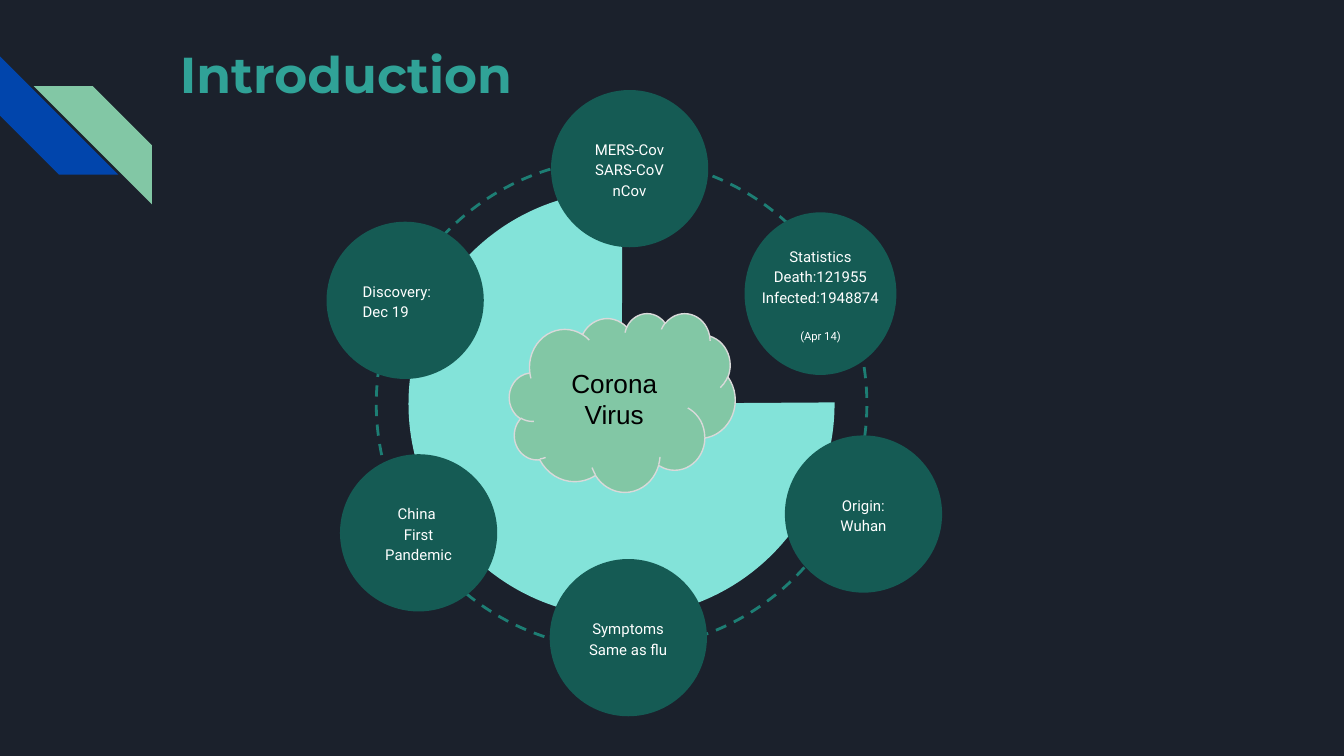
from dataclasses import dataclass

from lxml.etree import _Element as Element
from pptx import Presentation
from pptx.dml.color import RGBColor
from pptx.enum.dml import MSO_LINE_DASH_STYLE as Dash
from pptx.enum.shapes import MSO_SHAPE as Preset
from pptx.enum.text import MSO_ANCHOR as Anchor, PP_ALIGN as Align
from pptx.shapes.autoshape import Shape
from pptx.util import Inches, Pt

NAVY, BLUE, MINT = "1B212C", "0145AC", "82C7A5"
TEAL, DARK_TEAL, AQUA = "30A297", "155B54", "83E3D9"
RING_TEAL, GREY, WHITE, BLACK = "1D7E74", "D9D9D9", "FFFFFF", "000000"
SLIDE_WIDTH = 10
SLIDE_HEIGHT = SLIDE_WIDTH * 9 / 16


@dataclass(frozen=True)
class Box:
    left: float
    top: float
    width: float
    height: float

    def centred(self, width: float, height: float) -> "Box":
        """Return a box of the given size with the same centre."""
        return Box(self.left + (self.width - width) / 2,
                   self.top + (self.height - height) / 2, width, height)

    def lengths(self) -> list[Inches]:
        return [Inches(v) for v in (self.left, self.top, self.width, self.height)]


@dataclass(frozen=True)
class Line:
    text: str
    size: float = 8
    space_before: float = 0


@dataclass(frozen=True)
class Topic:
    left: float
    top: float
    lines: tuple[Line, ...]
    disc: tuple[float, float] = (1.17, 1.17)
    label: tuple[float, float] = (0.83, 0.8)
    align: Align = Align.CENTER


TOPICS = (
    Topic(4.1, 0.67, (Line("MERS-Cov"), Line("SARS-CoV"), Line("nCov"))),
    Topic(4.09, 4.16, (Line("Symptoms"), Line("Same as flu"))),
    Topic(2.53, 3.38, (Line("China "), Line("First Pandemic"))),
    Topic(5.84, 3.24, (Line("Origin:"), Line("Wuhan"))),
    Topic(5.54, 1.58,
          (Line("Statistics"), Line("Death:121955"), Line("Infected:1948874"),
           Line("(Apr 14)", size=6, space_before=11)),
          disc=(1.13, 1.21), label=(1.28, 1.11)),
    Topic(2.43, 1.65, (Line("Discovery:"), Line("Dec 19")), align=Align.LEFT),
)


def colour(value: str) -> RGBColor:
    return RGBColor.from_string(value)


def apply(target: object, values: dict[str, object]) -> None:
    for name, value in values.items():
        setattr(target, name, value)


def add_figure(shapes, preset: Preset, box: Box, fill: str | None = None,
               outline: str | None = None, outline_width: float = 0.75,
               rotation: float = 0, adjustments: tuple[float, ...] = ()) -> Shape:
    figure = shapes.add_shape(preset, *box.lengths())
    figure.shadow.inherit = False
    figure.rotation = rotation
    for index, value in enumerate(adjustments):
        figure.adjustments[index] = value
    if fill:
        figure.fill.solid()
        figure.fill.fore_color.rgb = colour(fill)
    else:
        figure.fill.background()
    if outline:
        figure.line.color.rgb = colour(outline)
        figure.line.width = Pt(outline_width)
    else:
        figure.line.fill.background()
    return figure


def write(shape: Shape, lines: tuple[Line, ...], font: str, hue: str,
          align: Align = Align.CENTER, anchor: Anchor = Anchor.MIDDLE,
          spacing: float = 1.0, bold: bool = False) -> None:
    frame = shape.text_frame
    margins = {f"margin_{side}": Inches(0.1)
               for side in ("left", "top", "right", "bottom")}
    apply(frame, {"word_wrap": True, "vertical_anchor": anchor, **margins})
    for index, line in enumerate(lines):
        paragraph = frame.add_paragraph() if index else frame.paragraphs[0]
        apply(paragraph, {"alignment": align, "line_spacing": spacing,
                          "space_before": Pt(line.space_before)})
        run = paragraph.add_run()
        run.text = line.text
        apply(run.font, {"name": font, "size": Pt(line.size), "bold": bold})
        run.font.color.rgb = colour(hue)


def add_stripes(shapes) -> None:
    add_figure(shapes, Preset.DIAGONAL_STRIPE, Box(0, 0.42, 0.88, 0.88), BLUE,
               rotation=270, adjustments=(0.5,))
    mint_stripe = add_figure(shapes, Preset.DIAGONAL_STRIPE,
                             Box(0.25, 0.64, 0.88, 0.88), MINT, adjustments=(0.5,))
    transform: Element = mint_stripe.element.spPr.xfrm
    transform.set("flipH", "1")


def add_topic(shapes, topic: Topic) -> None:
    disc = Box(topic.left, topic.top, *topic.disc)
    add_figure(shapes, Preset.OVAL, disc, DARK_TEAL)
    label = shapes.add_textbox(*disc.centred(*topic.label).lengths())
    write(label, topic.lines, "Roboto", WHITE, topic.align, spacing=1.15)


def main() -> None:
    deck = Presentation()
    apply(deck, {"slide_width": Inches(SLIDE_WIDTH),
                 "slide_height": Inches(SLIDE_HEIGHT)})
    slide = deck.slides.add_slide(deck.slide_layouts[6])
    slide.background.fill.solid()
    slide.background.fill.fore_color.rgb = colour(NAVY)
    shapes = slide.shapes

    add_stripes(shapes)
    title = shapes.add_textbox(*Box(1.24, 0.22, 7.7, 1).lengths())
    write(title, (Line("Introduction", size=27),), "Montserrat", TEAL,
          Align.LEFT, Anchor.TOP, bold=True)

    orbit = Box(2.8, 1.18, 3.65, 3.65)
    ring = add_figure(shapes, Preset.OVAL, orbit, outline=RING_TEAL,
                      outline_width=1.5, rotation=270)
    ring.line.dash_style = Dash.DASH
    add_figure(shapes, Preset.PIE, orbit.centred(3.17, 3.17), AQUA,
               adjustments=(215.77, 162.15))

    for topic in TOPICS:
        add_topic(shapes, topic)

    cloud = add_figure(shapes, Preset.CLOUD, Box(3.79, 2.33, 1.68, 1.33),
                       MINT, outline=GREY)
    write(cloud, (Line("Corona Virus", size=14),), "Arial", BLACK)

    deck.save("out.pptx")


if __name__ == "__main__":
    main()
